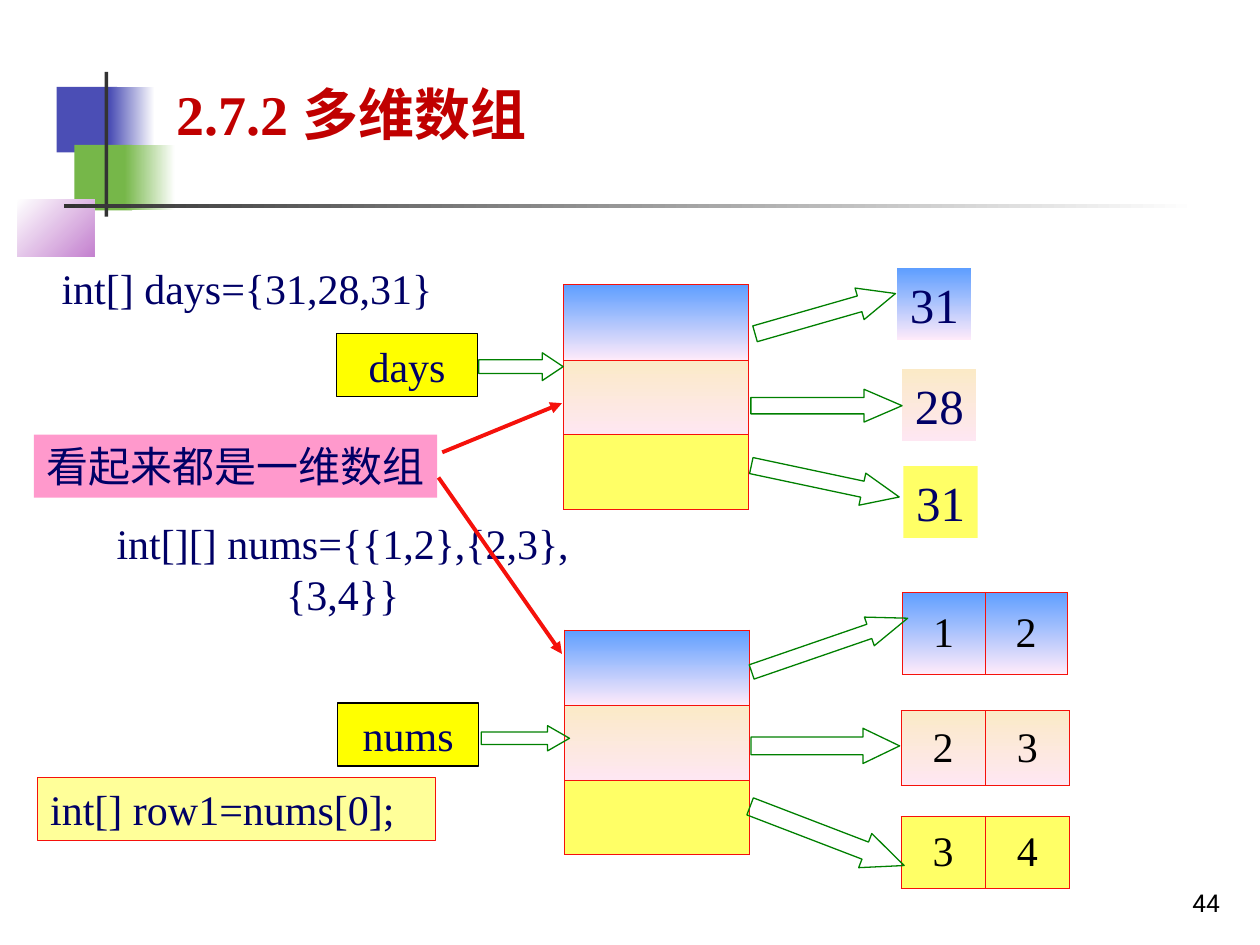
from lxml.etree import SubElement
from pptx import Presentation
from pptx.dml.color import RGBColor
from pptx.enum.shapes import MSO_CONNECTOR, MSO_SHAPE
from pptx.enum.text import MSO_ANCHOR, PP_ALIGN
from pptx.oxml import parse_xml
from pptx.oxml.ns import nsdecls, qn
from pptx.util import Pt

PX = 9144
SERIF = "Times New Roman"
COLORS = {
    "white": "FFFFFF", "black": "000000", "navy": "000066", "title": "C00000",
    "indigo": "4B4EB5", "leaf": "76B749", "orchid": "C481CF", "rule": "333333",
    "red": "F5110B", "green": "008000", "yellow": "FFFF00", "lemon": "FFFF66",
    "cream": "FFFF99", "pink": "FF99CC",
    "sky": "5E9EFF", "blush": "FFEBFA", "sand": "FBEAC7", "rose": "FEE7F2",
}
SKY = ("sky", "blush", 90)
SAND = ("sand", "rose", 90)
ROW_FILLS = [SKY, SAND, "lemon"]


def rgb(name):
    return RGBColor.from_string(COLORS[name])


class SlideBuilder:
    def __init__(self, slide):
        self.slide = slide
        self.shapes = slide.shapes

    def emu(self, *lengths):
        return [length * PX for length in lengths]

    def paint(self, fill, paint):
        if paint is None:
            fill.background()
        elif isinstance(paint, str):
            fill.solid()
            fill.fore_color.rgb = rgb(paint)
        else:
            start, end, clockwise = paint
            fill.gradient()
            fill.gradient_angle = (360 - clockwise) % 360
            for stop, color in zip(fill.gradient_stops, (start, end)):
                stop.color.rgb = rgb(color)

    def add_runs(self, frame, runs, size, color="navy", align=PP_ALIGN.CENTER,
                 font=SERIF, bold=False):
        paragraph = frame.paragraphs[0]
        paragraph.alignment = align
        for words in runs:
            run = paragraph.add_run()
            run.text = words
            run.font.size = Pt(size)
            run.font.name = font
            run.font.bold = bold
            run.font.color.rgb = rgb(color)

    def text(self, box, runs, size, anchor=MSO_ANCHOR.MIDDLE, wrap=True, **style):
        frame = self.shapes.add_textbox(*self.emu(*box)).text_frame
        frame.word_wrap = wrap
        frame.vertical_anchor = anchor
        self.add_runs(frame, runs, size, **style)

    def shape(self, kind, box, paint=None, line=None):
        shape = self.shapes.add_shape(kind, *self.emu(*box))
        shape.shadow.inherit = False
        self.paint(shape.fill, paint)
        if line:
            shape.line.color.rgb = rgb(line)
            shape.line.width = Pt(0.75)
        else:
            shape.line.fill.background()
        return shape

    def label(self, box, words, paint, size=24, line=None, wrap=True,
              align=PP_ALIGN.CENTER):
        frame = self.shape(MSO_SHAPE.RECTANGLE, box, paint, line).text_frame
        frame.word_wrap = wrap
        frame.vertical_anchor = MSO_ANCHOR.MIDDLE
        self.add_runs(frame, [words], size, align=align)

    def block_arrow(self, box, head, rotation=0):
        arrow = self.shape(MSO_SHAPE.RIGHT_ARROW, box, line="green")
        arrow.adjustments[0] = 0.5
        arrow.adjustments[1] = head
        arrow.rotation = rotation

    def pointer(self, start, end):
        connector = self.shapes.add_connector(
            MSO_CONNECTOR.STRAIGHT, *self.emu(*start, *end))
        connector.line.color.rgb = rgb("red")
        connector.line.width = Pt(2.25)
        properties = connector._element.spPr
        SubElement(properties.find(qn("a:ln")), qn("a:tailEnd"), type="triangle")
        SubElement(properties, qn("a:effectLst"))

    def border(self, cell):
        properties = cell._tc.get_or_add_tcPr()
        for index, side in enumerate(("lnL", "lnR", "lnT", "lnB")):
            properties.insert(index, parse_xml(
                f'<a:{side} {nsdecls("a")} w="{Pt(0.45)}"><a:solidFill>'
                f'<a:srgbClr val="{COLORS["red"]}"/></a:solidFill></a:{side}>'))

    def table(self, left, top, widths, heights, fills, values=()):
        box = self.emu(left, top, sum(widths), sum(heights))
        table = self.shapes.add_table(len(heights), len(widths), *box).table
        table.first_row = table.horz_banding = False
        for column, width in zip(table.columns, widths):
            column.width = width * PX
        for row, height, paint in zip(table.rows, heights, fills):
            row.height = height * PX
            for cell in row.cells:
                self.paint(cell.fill, paint)
                self.border(cell)
        for cell, value in zip(table.iter_cells(), values):
            cell.vertical_anchor = MSO_ANCHOR.MIDDLE
            self.add_runs(cell.text_frame, [value], 24, "black")


def add_decoration(builder):
    for box, paint in [
        ((45, 69, 48, 52), "indigo"),
        ((87, 69, 36, 52), ("indigo", "white", 0)),
        ((59, 115, 46, 52), "leaf"),
        ((99, 115, 40, 52), ("leaf", "white", 0)),
        ((14, 158, 61, 46), ("white", "orchid", 45)),
        ((83, 57, 3, 115), "rule"),
        ((51, 162, 900, 3), ("rule", "white", 0)),
    ]:
        builder.shape(MSO_SHAPE.RECTANGLE, box, paint)


def add_arrays(builder):
    for left, top in [(447, 226), (448, 500)]:
        builder.table(left, top, [147], [60, 59, 59], ROW_FILLS)
    for name, left, top in [("days", 267, 265), ("nums", 268, 558)]:
        builder.label((left, top, 112, 50), name, "yellow", line="black")
    for value, left, top, paint in zip(
            ("31", "28", "31"), (712, 716, 717), (213, 293, 370), ROW_FILLS):
        builder.label((left, top, 59, 57), value, paint, size=28, wrap=False)
    for left, top, widths, height, paint, values in [
        (716, 470, [66, 65], 65, SKY, "12"),
        (715, 564, [67, 67], 59, SAND, "23"),
        (715, 648, [67, 67], 57, "lemon", "34"),
    ]:
        builder.table(left, top, widths, [height], [paint], values)


def add_arrows(builder):
    for box, head, rotation in [
        ((380, 280, 67, 22), 0.75, 0),
        ((597, 236, 116, 26), 1.14, 344),
        ((596, 309, 120, 26), 1.16, 0),
        ((595, 369, 120, 26), 1.15, 12),
        ((382, 576, 70, 20), 0.87, 0),
        ((593, 500, 131, 24), 1.34, 341),
        ((596, 578, 118, 28), 1.04, 0),
        ((591, 649, 131, 29), 1.14, 21),
    ]:
        builder.block_arrow(box, head, rotation)
    builder.pointer((351, 359), (446, 320))
    builder.pointer((348, 379), (446, 519))


def main():
    deck = Presentation()
    deck.slide_width, deck.slide_height = 1000 * PX, 750 * PX
    builder = SlideBuilder(deck.slides.add_slide(deck.slide_layouts[6]))
    add_decoration(builder)
    builder.text((130, 28, 797, 123), ["2.7.2 ", "多维数组"], 32,
                 color="title", align=PP_ALIGN.LEFT, bold=True)
    builder.text((770, 683, 208, 50), ["44"], 14, anchor=MSO_ANCHOR.BOTTOM,
                 color="black", align=PP_ALIGN.RIGHT, font="Roboto")
    builder.text((39, 203, 314, 50), ["int[] days={31,28,31}"], 24, wrap=False)
    builder.text((38, 426, 468, 50), ["int[][] nums={{1,2},{2,3},{3,4}}"], 24,
                 wrap=False)
    add_arrays(builder)
    builder.label((27, 345, 320, 50), "看起来都是一维数组", "pink", wrap=False)
    builder.label((30, 617, 316, 50), "int[] row1=nums[0];", "cream",
                  line="red", align=PP_ALIGN.LEFT)
    add_arrows(builder)
    deck.save("out.pptx")


if __name__ == "__main__":
    main()
